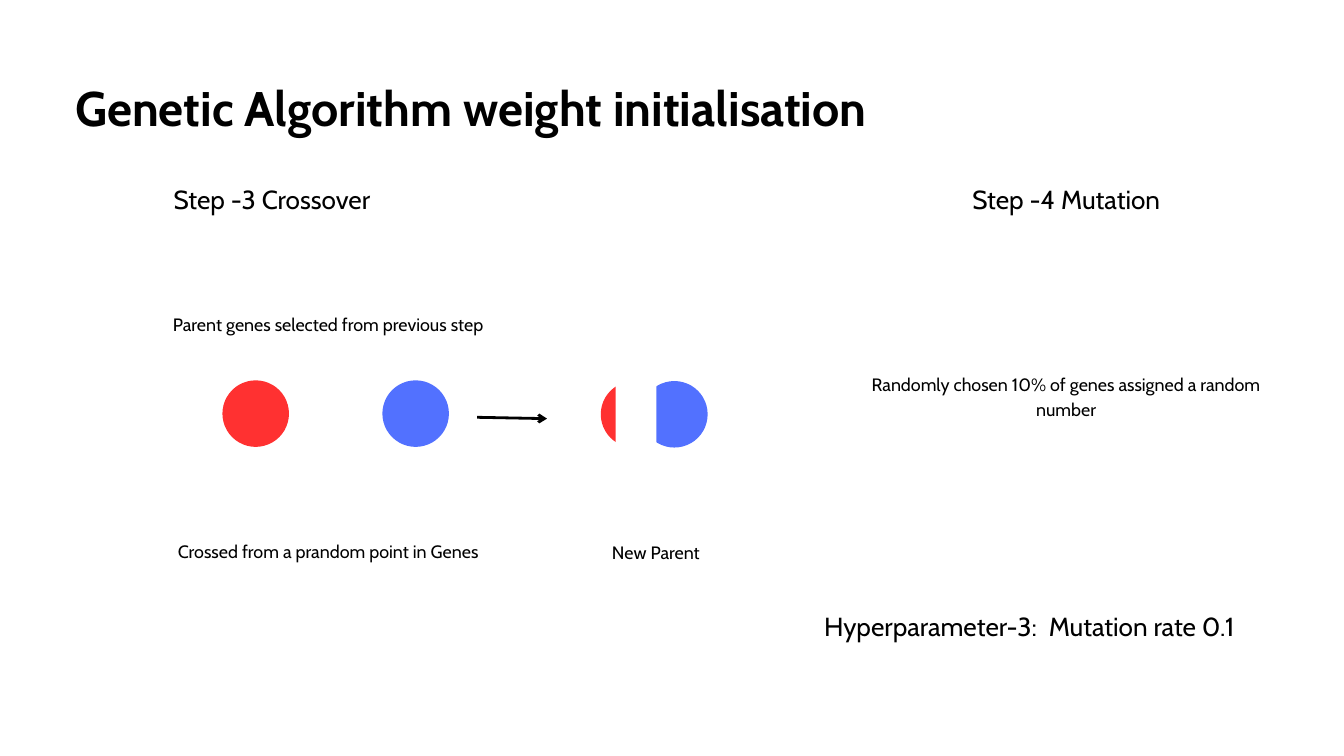
from lxml import etree
from pptx import Presentation
from pptx.dml.color import RGBColor
from pptx.enum.shapes import MSO_CONNECTOR, MSO_SHAPE
from pptx.enum.text import MSO_ANCHOR, MSO_AUTO_SIZE, PP_ALIGN
from pptx.oxml.ns import qn
from pptx.util import Inches, Pt

OVAL, RECTANGLE = MSO_SHAPE.OVAL, MSO_SHAPE.RECTANGLE
STRAIGHT = MSO_CONNECTOR.STRAIGHT
TOP = MSO_ANCHOR.TOP
NO_AUTOFIT = MSO_AUTO_SIZE.NONE
LEFT, CENTER = PP_ALIGN.LEFT, PP_ALIGN.CENTER

BLACK = RGBColor(0x00, 0x00, 0x00)
WHITE = RGBColor(0xFF, 0xFF, 0xFF)
RED = RGBColor(0xFF, 0x31, 0x31)
BLUE = RGBColor(0x52, 0x71, 0xFF)

FONT = "Cabin"
LINE_SPACING = 1.4
TITLE_SIZE, HEADING_SIZE, BODY_SIZE = 52, 28, 19.2
GENE_SIZE = 0.99


def fill_text(shape, text, size, alignment=CENTER, bold=False):
    frame = shape.text_frame
    frame.word_wrap = True
    frame.auto_size = NO_AUTOFIT
    frame.vertical_anchor = TOP
    frame.margin_left = frame.margin_right = 0
    frame.margin_top = frame.margin_bottom = 0
    frame.text = text
    paragraph = frame.paragraphs[0]
    paragraph.alignment = alignment
    paragraph.line_spacing = Pt(round(size * LINE_SPACING, 1))
    paragraph.space_before = Pt(0)
    paragraph.font.name = FONT
    paragraph.font.size = Pt(size)
    paragraph.font.bold = bold
    paragraph.font.color.rgb = BLACK


def add_text(slide, left, top, width, height, text, size):
    box = slide.shapes.add_textbox(
        Inches(left), Inches(top), Inches(width), Inches(height))
    fill_text(box, text, size)


def add_plain_shape(slide, kind, left, top, width, height, color):
    shape = slide.shapes.add_shape(
        kind, Inches(left), Inches(top), Inches(width), Inches(height))
    shape.shadow.inherit = False
    shape.fill.solid()
    shape.fill.fore_color.rgb = color
    shape.line.fill.background()


def add_gene(slide, left, top, color):
    add_plain_shape(slide, OVAL, left, top, GENE_SIZE, GENE_SIZE, color)


def add_arrow(slide, start_x, start_y, end_x, end_y):
    arrow = slide.shapes.add_connector(
        STRAIGHT, Inches(start_x), Inches(start_y), Inches(end_x), Inches(end_y))
    arrow.line.color.rgb = BLACK
    arrow.line.width = Pt(3)
    properties = arrow.line._get_or_add_ln()
    etree.SubElement(properties, qn("a:tailEnd"), type="arrow")
    etree.SubElement(arrow._element.spPr, qn("a:effectLst"))


def add_title(slide, left, top, width, height):
    title = slide.shapes.title
    title.left, title.top = Inches(left), Inches(top)
    title.width, title.height = Inches(width), Inches(height)
    fill_text(title, "Genetic Algorithm weight initialisation",
              TITLE_SIZE, LEFT, True)


def add_new_parent(slide, left, top):
    add_gene(slide, left, top, RED)
    add_gene(slide, left + 0.6, top, BLUE)
    add_plain_shape(slide, RECTANGLE, left + 0.22, top - 0.05, 0.58, 1.05, WHITE)
    add_plain_shape(slide, RECTANGLE, left + 0.36, top, 0.47, 1.05, WHITE)
    add_text(slide, left + 0.08, top + 2.33, 1.48, 0.35, "New Parent", BODY_SIZE)


def add_crossover(slide, left, top):
    add_text(slide, left + 0.17, top, 3.31, 0.53,
             "Step -3 Crossover", HEADING_SIZE)
    add_text(slide, left, top + 1.97, 5.33, 0.36,
             "Parent genes selected from previous step", BODY_SIZE)
    add_gene(slide, left + 1.09, top + 3.01, RED)
    add_gene(slide, left + 3.47, top + 3.01, BLUE)
    add_arrow(slide, left + 4.88, top + 3.56, left + 5.92, top + 3.58)
    add_text(slide, left + 0.11, top + 5.34, 5.11, 0.36,
             "Crossed from a prandom point in Genes", BODY_SIZE)
    add_new_parent(slide, left + 6.72, top + 3.02)


def add_mutation(slide, left, top):
    add_text(slide, left + 2.46, top, 3.15, 0.53,
             "Step -4 Mutation", HEADING_SIZE)
    add_text(slide, left + 1.1, top + 2.85, 5.87, 0.74,
             "Randomly chosen 10% of genes assigned a random number", BODY_SIZE)
    add_text(slide, left, top + 6.36, 6.97, 0.53,
             "Hyperparameter-3:  Mutation rate 0.1", HEADING_SIZE)


def main():
    presentation = Presentation()
    presentation.slide_width = Inches(20)
    presentation.slide_height = Inches(11.25)
    slide = presentation.slides.add_slide(presentation.slide_layouts[5])
    slide.background.fill.solid()
    slide.background.fill.fore_color.rgb = WHITE
    add_title(slide, 1.12, 1.02, 13.57, 0.97)
    add_crossover(slide, 2.22, 2.65)
    add_mutation(slide, 11.83, 2.65)
    presentation.save("out.pptx")


if __name__ == "__main__":
    main()
